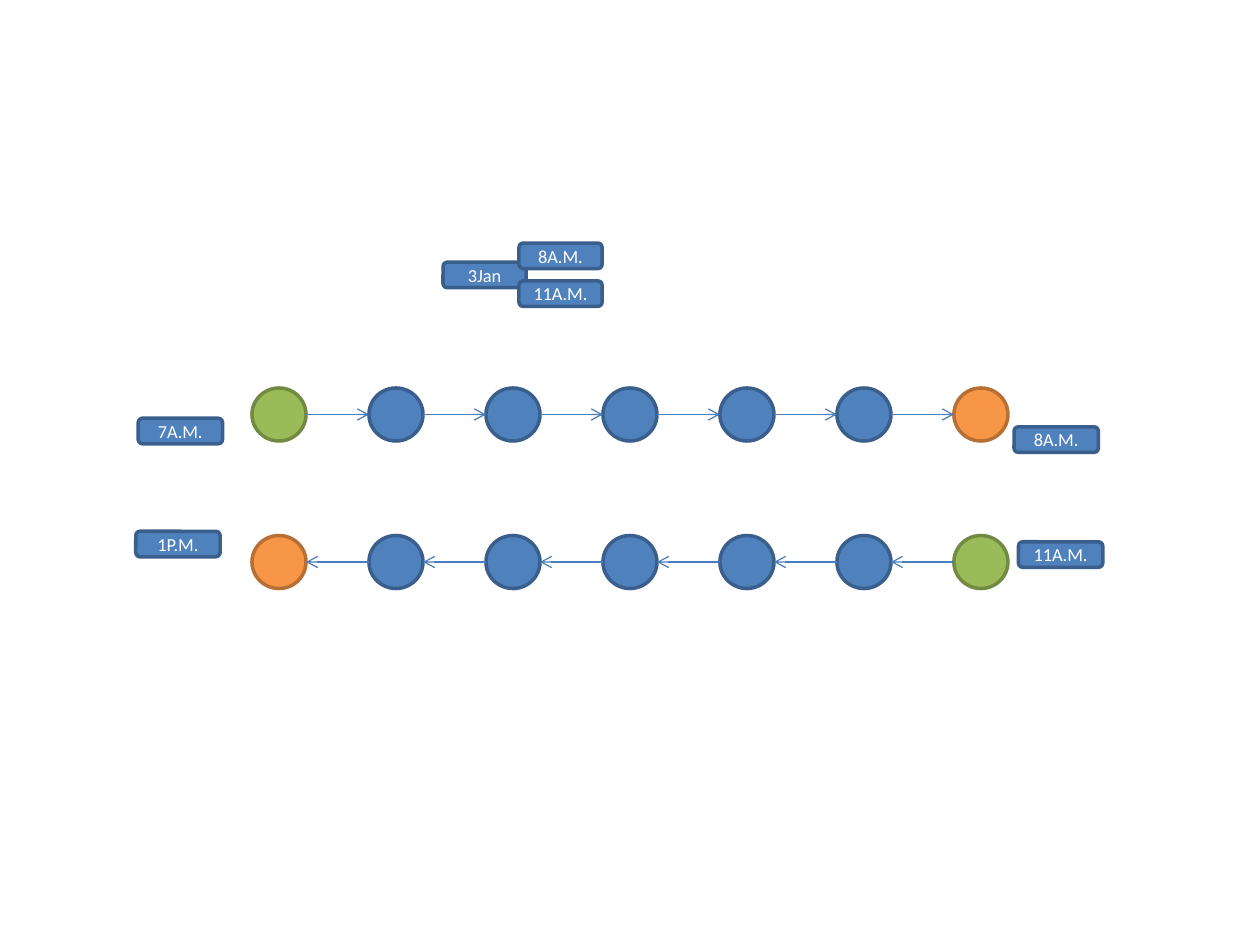
from dataclasses import dataclass

from lxml import etree
from pptx import Presentation
from pptx import util as u
from pptx.dml.color import RGBColor
from pptx.enum import shapes, text
from pptx.oxml import ns


@dataclass(frozen=True)
class Theme:
    font: str = "Calibri"
    label_size: float = 10.5
    text: str = "FFFFFF"
    arrow: str = "4B7EBC"
    arrow_width: float = 0.75
    outline_width: float = 2
    # (fill, outline) pairs
    start: tuple = ("9BBB59", "738A42")
    stop: tuple = ("4F81BD", "3A5F8C")
    end: tuple = ("F79646", "B76F34")


THEME = Theme()

# Content: trips as (top, direction of travel)
TRIPS = [(221.7, 1), (306, -1)]
DATE_LABELS = [("3Jan", 253.2, 149.8), ("11A.M.", 296.6, 160.5), ("8A.M.", 296.6, 138.9)]
TIME_LABELS = [("8A.M.", 579.5, 243.9), ("11A.M.", 582, 309.6),
               ("7A.M.", 79, 239), ("1P.M.", 77.6, 303.6)]

# Stop grid and label sizes
STOPS = 7
FIRST_LEFT, PITCH = 144, 66.85
NODE_WIDTH, NODE_HEIGHT = 30.9, 30.3
LABEL_HEIGHT = 14.6
DATE_WIDTH, TIME_WIDTH = 47.5, 48.2


def add_block(parent, kind, left, top, width, height, colors):
    block = parent.add_shape(kind, u.Pt(left), u.Pt(top), u.Pt(width), u.Pt(height))
    block.shadow.inherit = False
    fill, outline = colors
    block.fill.solid()
    block.fill.fore_color.rgb = RGBColor.from_string(fill)
    block.line.color.rgb = RGBColor.from_string(outline)
    block.line.width = u.Pt(THEME.outline_width)
    return block


def add_label(parent, wording, left, top, width):
    box = add_block(parent, shapes.MSO_SHAPE.ROUNDED_RECTANGLE,
                    left, top, width, LABEL_HEIGHT, THEME.stop)
    frame = box.text_frame
    frame.margin_left = frame.margin_right = frame.margin_top = frame.margin_bottom = 0
    frame.vertical_anchor = text.MSO_ANCHOR.MIDDLE
    para = frame.paragraphs[0]
    para.alignment = text.PP_ALIGN.CENTER
    span = para.add_run()
    span.text = wording
    span.font.name = THEME.font
    span.font.size = u.Pt(THEME.label_size)
    span.font.color.rgb = RGBColor.from_string(THEME.text)


def add_arrow(parent, start, end, middle):
    arrow = parent.add_connector(shapes.MSO_CONNECTOR.STRAIGHT,
                                 u.Pt(start), u.Pt(middle), u.Pt(end), u.Pt(middle))
    arrow.line.color.rgb = RGBColor.from_string(THEME.arrow)
    arrow.line.width = u.Pt(THEME.arrow_width)
    etree.SubElement(arrow.line._get_or_add_ln(), ns.qn("a:tailEnd"), type="arrow")
    etree.SubElement(arrow._element.spPr, ns.qn("a:effectLst"))


def add_trip(page, top, direction):
    trip = page.shapes.add_group_shape().shapes
    lefts = [FIRST_LEFT + PITCH * i for i in range(STOPS)][::direction]
    colors = [THEME.start] + [THEME.stop] * (STOPS - 2) + [THEME.end]
    for left, pair in zip(lefts, colors):
        add_block(trip, shapes.MSO_SHAPE.OVAL, left, top, NODE_WIDTH, NODE_HEIGHT, pair)
    # Arrows run from the edge of one stop to the edge of the next
    for here, following in zip(lefts, lefts[1:]):
        if direction > 0:
            here += NODE_WIDTH
        else:
            following += NODE_WIDTH
        add_arrow(trip, here, following, top + NODE_HEIGHT / 2)


def main():
    deck = Presentation()
    deck.slide_width, deck.slide_height = u.Pt(720), u.Pt(540)
    page = deck.slides.add_slide(deck.slide_layouts[6])

    # Outward and return trips
    for top, direction in TRIPS:
        add_trip(page, top, direction)

    # Date with its departure times, then the times beside the trips
    for labels, width in ((DATE_LABELS, DATE_WIDTH), (TIME_LABELS, TIME_WIDTH)):
        for wording, left, top in labels:
            add_label(page.shapes, wording, left, top, width)

    deck.save("out.pptx")


if __name__ == "__main__":
    main()
